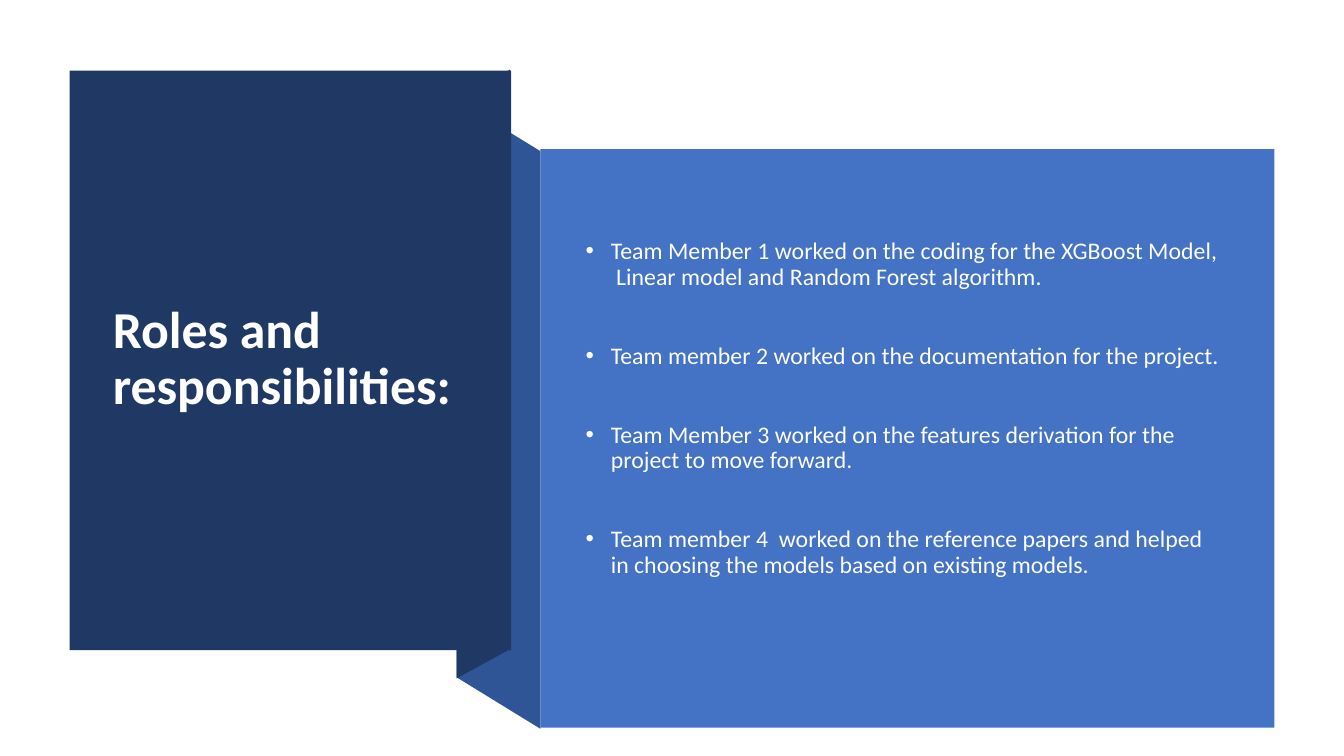
from lxml.etree import SubElement
from pptx import Presentation
from pptx.dml.color import RGBColor as Rgb
from pptx.enum.shapes import MSO_SHAPE as Kind
from pptx.enum.text import MSO_ANCHOR as Anchor
from pptx.oxml.ns import qn
from pptx.util import Inches, Pt

NAVY = "203864"
FOLD = "2F5597"
BLUE = "4472C4"
WHITE = "FFFFFF"
SOFT = "FEFFFF"

TITLE = "Roles and responsibilities:"
ROLES = [
    "Team Member 1 worked on the coding for the XGBoost Model,  Linear model and Random Forest algorithm.",
    "Team member 2 worked on the documentation for the project.",
    "Team Member 3 worked on the features derivation for the project to move forward.",
    "Team member 4  worked on the reference papers and helped in choosing the models based on existing models.",
]


def paint(shape, color):
    shape.shadow.inherit = False
    shape.fill.solid()
    shape.fill.fore_color.rgb = Rgb.from_string(color)
    shape.line.fill.background()


def add_rect(slide, box, color):
    paint(slide.shapes.add_shape(Kind.RECTANGLE, *map(Inches, box)), color)


def add_fold(slide, box, left, right, color):
    x, y, w, h = box
    points = [(x, y + left), (x + w, y + right),
              (x + w, y + h - left), (x, y + h - right)]
    first, *rest = [(Inches(a), Inches(b)) for a, b in points]
    form = slide.shapes.build_freeform(*first)
    form.add_line_segments(rest, close=True)
    paint(form.convert_to_shape(), color)


def add_frame(slide, box):
    frame = slide.shapes.add_textbox(*map(Inches, box)).text_frame
    frame.word_wrap = True
    frame.vertical_anchor = Anchor.MIDDLE
    return frame


def add_run(para, text, size, color, bold=False):
    para.line_spacing = 0.9
    run = para.add_run()
    run.text = text
    font = run.font
    font.name = "Calibri"
    font.size = Pt(size)
    font.bold = bold
    font.color.rgb = Rgb.from_string(color)


def add_bullet(para):
    props = para._p.get_or_add_pPr()
    props.set("marL", str(Inches(0.25)))
    props.set("indent", str(-Inches(0.25)))
    SubElement(props, qn("a:buFont"), typeface="Arial")
    SubElement(props, qn("a:buChar"), char="•")


def add_title(slide, box):
    x, y, w, h = box
    add_rect(slide, box, NAVY)
    frame = add_frame(slide, (x + 0.33, y + 0.37, w - 0.66, h - 0.76))
    add_run(frame.paragraphs[0], TITLE, 37, WHITE, True)


def add_roles(slide, box):
    x, y, w, h = box
    add_rect(slide, box, BLUE)
    frame = add_frame(slide, (x + 0.35, y + 0.4, w - 0.77, h - 1.39))
    for i, role in enumerate(ROLES):
        para = frame.paragraphs[0] if i == 0 else frame.add_paragraph()
        para.space_before = Pt(38 if i else 0)
        add_run(para, role, 17, SOFT)
        add_bullet(para)


def main():
    deck = Presentation()
    deck.slide_width = Inches(13.33)
    deck.slide_height = Inches(7.5)
    slide = deck.slides.add_slide(deck.slide_layouts[6])
    add_fold(slide, (4.53, 0.99, 0.83, 6.24), 0, 0.51, FOLD)
    add_fold(slide, (4.53, 0.69, 0.53, 6.04), 0.29, 0, NAVY)
    add_title(slide, (0.69, 0.7, 4.38, 5.75))
    add_roles(slide, (5.36, 1.48, 7.28, 5.74))
    deck.save("out.pptx")


if __name__ == "__main__":
    main()
